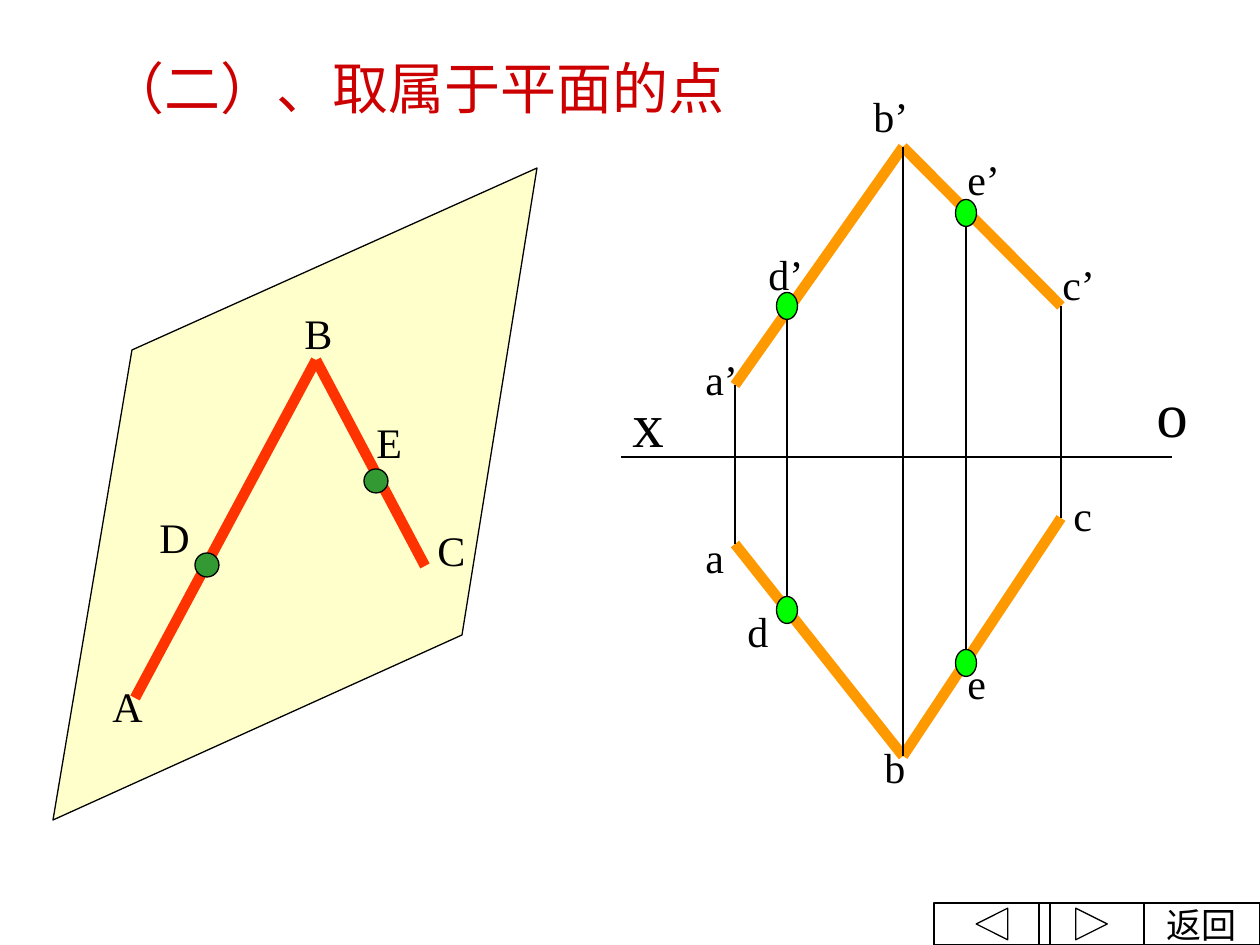
from lxml.etree import SubElement
from pptx import Presentation
from pptx.dml.color import RGBColor
from pptx.enum.shapes import MSO_CONNECTOR, MSO_SHAPE as SHAPE
from pptx.enum.text import MSO_ANCHOR, MSO_AUTO_SIZE, PP_ALIGN
from pptx.oxml.ns import qn
from pptx.util import Pt

PX = 914400 / 126
BLACK = RGBColor(0x00, 0x00, 0x00)
TITLE_RED = RGBColor(0xCC, 0x00, 0x00)
PLANE_YELLOW = RGBColor(0xFF, 0xFF, 0xCC)
SPACE_RED = RGBColor(0xFF, 0x33, 0x00)
SPACE_GREEN = RGBColor(0x33, 0x99, 0x33)
VIEW_ORANGE = RGBColor(0xFF, 0x99, 0x00)
VIEW_GREEN = RGBColor(0x00, 0xFF, 0x00)
LATIN, CJK = "Times New Roman", "Noto Sans CJK JP"


def emu(*lengths):
    return [round(length * PX) for length in lengths]


def draw_line(start, end, color=BLACK, width=0.75):
    line = slide.shapes.add_connector(MSO_CONNECTOR.STRAIGHT, *emu(*start, *end))
    line.line.color.rgb = color
    line.line.width = Pt(width)
    SubElement(line._element.spPr, qn("a:effectLst"))


prs = Presentation()
prs.slide_width, prs.slide_height = emu(1260, 945)
slide = prs.slides.add_slide(prs.slide_layouts[5])

# Title
title = slide.shapes.title
title.left, title.top, title.width, title.height = emu(96, 24, 689, 126)
title.text_frame.text = "（二）、取属于平面的点"
title.text_frame.vertical_anchor = MSO_ANCHOR.MIDDLE
heading = title.text_frame.paragraphs[0]
heading.alignment = PP_ALIGN.LEFT
heading_font = heading.runs[0].font
for attribute, value in {"size": Pt(32), "name": CJK}.items():
    setattr(heading_font, attribute, value)
heading_font.color.rgb = TITLE_RED
SubElement(heading_font._element, qn("a:ea"), typeface=CJK)

# Plane in space
corners = [(132, 350), (537, 168), (462, 635), (53, 820)]
builder = slide.shapes.build_freeform(*corners[0], scale=PX)
builder.add_line_segments(corners[1:], close=True)
plane = builder.convert_to_shape()
plane.shadow.inherit = False
plane.fill.solid()
plane.fill.fore_color.rgb = PLANE_YELLOW
plane.line.color.rgb = BLACK
plane.line.width = Pt(0.75)

# Lines AB and BC in space
A, B, C = (135, 698), (316, 360), (425, 566)
for start, end in [(A, B), (B, C)]:
    draw_line(start, end, SPACE_RED, 6)

# Projections: x, front view y, top view y
a, b, c = (735, 385, 544), (903, 147, 756), (1061, 306, 518)
d, e = (787, 306, 610), (966, 213, 663)
for view in (1, 2):
    for start, end in [(a, b), (b, c)]:
        draw_line((start[0], start[view]), (end[0], end[view]), VIEW_ORANGE, 6)

# Axis and projection lines
draw_line((1172, 457), (621, 457))
for x, front, top in (a, b, c, d, e):
    draw_line((x, front), (x, top))

# Points D and E in space and in both views
dots = [(207, 565, 24, 24, SPACE_GREEN), (376, 481, 24, 24, SPACE_GREEN)]
dots += [(p[0], p[view], 21, 27, VIEW_GREEN) for p in (d, e) for view in (1, 2)]
for x, y, width, height, color in dots:
    dot = slide.shapes.add_shape(
        SHAPE.OVAL, *emu(x - width / 2, y - height / 2, width, height))
    dot.shadow.inherit = False
    dot.fill.solid()
    dot.fill.fore_color.rgb = color
    dot.line.color.rgb = BLACK
    dot.line.width = Pt(0.75)

# Labels: text, left, top, width, height, size
labels = [("x", 620, 378, 38, 88, 36), ("o", 1144, 368, 88, 88, 36)]
labels += [(*label, 63, 24) for label in [
    ("A", 100, 674, 48), ("B", 292, 301, 48), ("C", 425, 518, 60),
    ("D", 147, 505, 29), ("E", 364, 410, 60)]]
labels += [(*label, 73, 63, 24) for label in [
    ("a’", 693, 347), ("b’", 861, 84), ("c’", 1050, 252),
    ("d’", 756, 242), ("e’", 955, 147),
    ("a", 693, 525), ("b", 872, 735), ("c", 1061, 483),
    ("d", 735, 599), ("e", 955, 651)]]
for text, left, top, width, height, size in labels:
    label = slide.shapes.add_textbox(*emu(left, top, width, height))
    label.text_frame.word_wrap = True
    label.text_frame.auto_size = MSO_AUTO_SIZE.SHAPE_TO_FIT_TEXT
    label.text_frame.text = text
    label_font = label.text_frame.paragraphs[0].runs[0].font
    label_font.name = LATIN
    label_font.size = Pt(size)
    label_font.color.rgb = BLACK

# Navigation buttons
for kind, left, width, text in [
        (SHAPE.ACTION_BUTTON_CUSTOM, 1144, 116, "返回"),
        (SHAPE.ACTION_BUTTON_BACK_OR_PREVIOUS, 934, 116, ""),
        (SHAPE.ACTION_BUTTON_FORWARD_OR_NEXT, 1039, 105, "")]:
    button = slide.shapes.add_shape(kind, *emu(left, 903, width, 42))
    button.shadow.inherit = False
    button.fill.background()
    button.line.color.rgb = BLACK
    button.line.width = Pt(0.75)
    if text:
        button.text_frame.word_wrap = False
        button.text_frame.vertical_anchor = MSO_ANCHOR.MIDDLE
        button.text_frame.text = text
        caption = button.text_frame.paragraphs[0]
        caption.alignment = PP_ALIGN.CENTER
        caption_font = caption.runs[0].font
        caption_font.name = LATIN
        caption_font.size = Pt(20)
        caption_font.color.rgb = BLACK

prs.save("out.pptx")
